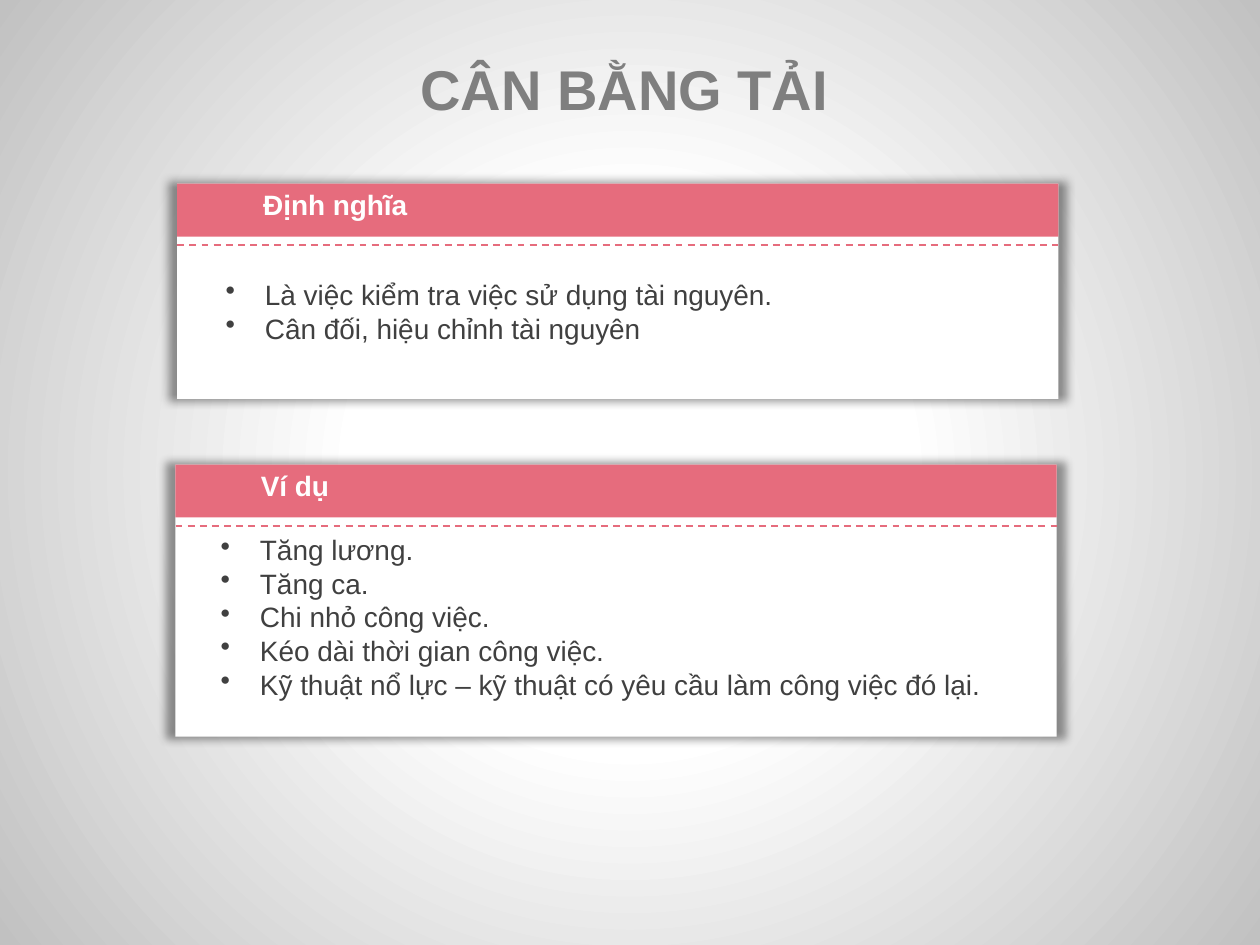
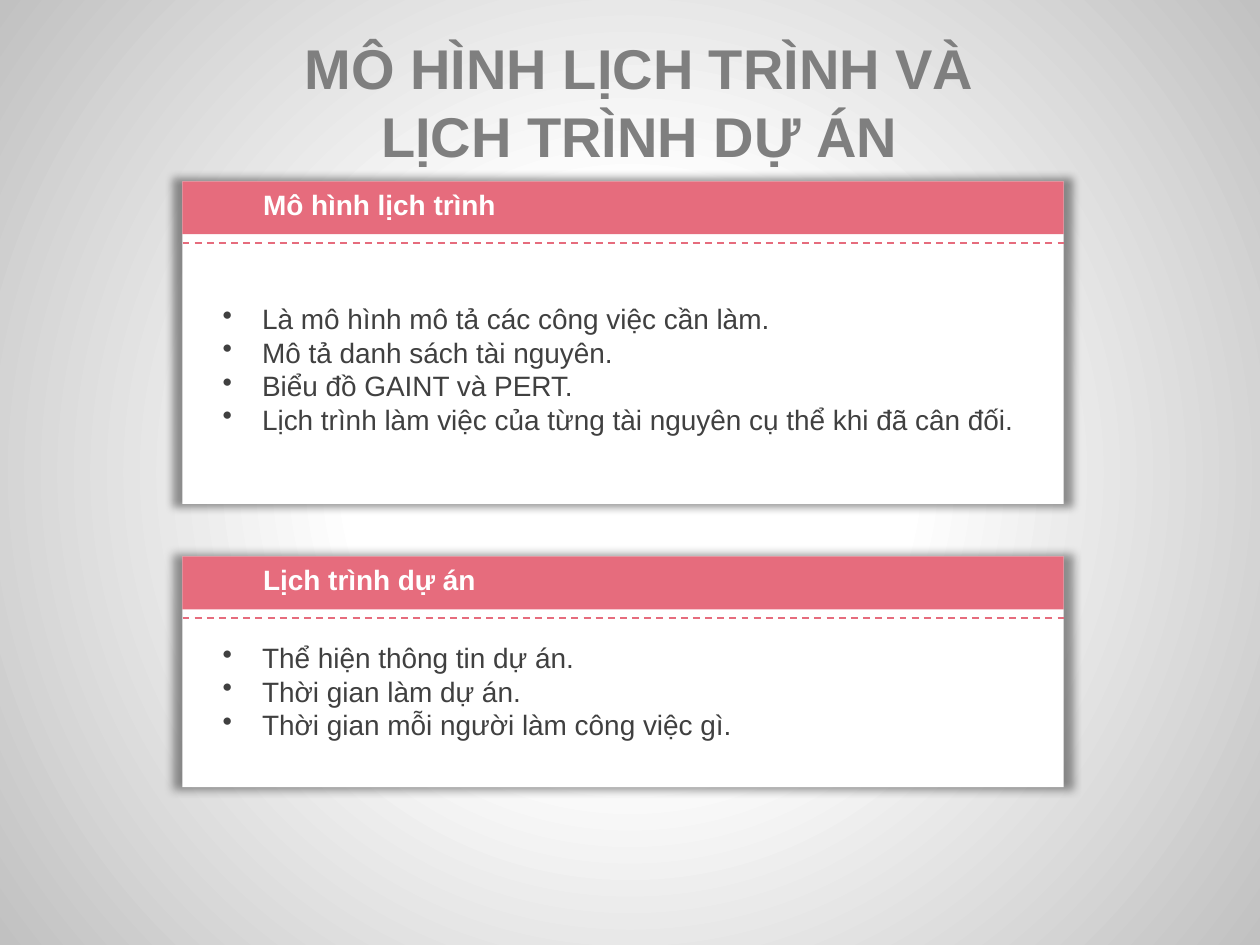
from lxml import etree
from pptx import Presentation
from pptx.dml.color import RGBColor
from pptx.enum.dml import MSO_LINE_DASH_STYLE as Dash
from pptx.enum.shapes import MSO_CONNECTOR as Connector, MSO_SHAPE as Shape
from pptx.enum.text import MSO_ANCHOR as Anchor, MSO_AUTO_SIZE as AutoSize, PP_ALIGN as Align
from pptx.oxml import parse_xml
from pptx.oxml.ns import nsdecls, qn
from pptx.util import Pt

SLIDES = [
    {
        "title": "CÂN BẰNG TẢI",
        "title_box": (98, 27.5, 517.5, 46),
        "cards": [
            {
                "label": "Định nghĩa",
                "box": (101.3, 105, 123),
                "label_at": (143.3, 103.6),
                "body_at": (121.8, 154.8),
                "bullets": [
                    "Là việc kiểm tra việc sử dụng tài nguyên.",
                    "Cân đối, hiệu chỉnh tài nguyên",
                ],
            },
            {
                "label": "Ví dụ",
                "box": (100.3, 265.5, 155.5),
                "label_at": (142, 264.2),
                "body_at": (119, 300.3),
                "bullets": [
                    "Tăng lương.",
                    "Tăng ca.",
                    "Chi nhỏ công việc.",
                    "Kéo dài thời gian công việc.",
                    "Kỹ thuật nổ lực – kỹ thuật có yêu cầu làm công việc đó lại.",
                ],
            },
        ],
    },
    {
        "title": "MÔ HÌNH LỊCH TRÌNH VÀ LỊCH TRÌNH DỰ ÁN",
        "title_box": (142, 15.3, 447, 85),
        "cards": [
            {
                "label": "Mô hình lịch trình",
                "box": (104.3, 103.7, 184.3),
                "label_at": (143.3, 103.7),
                "body_at": (120.2, 168.5),
                "bullets": [
                    "Là mô hình mô tả các công việc cần làm.",
                    "Mô tả danh sách tài nguyên.",
                    "Biểu đồ GAINT và PERT.",
                    "Lịch trình làm việc của từng tài nguyên cụ thể khi đã cân đối.",
                ],
            },
            {
                "label": "Lịch trình dự án",
                "box": (104.3, 318, 131.8),
                "label_at": (143.3, 318),
                "body_at": (120.2, 362.2),
                "bullets": [
                    "Thể hiện thông tin dự án.",
                    "Thời gian làm dự án.",
                    "Thời gian mỗi người làm công việc gì.",
                ],
            },
        ],
    },
]

FONT = "Arial"
WHITE = RGBColor(0xFF, 0xFF, 0xFF)
PINK = RGBColor(0xE6, 0x6C, 0x7D)
TITLE_GRAY = RGBColor(0x7F, 0x7F, 0x7F)
TEXT_GRAY = RGBColor(0x40, 0x40, 0x40)
EDGE_GRAY = RGBColor(0xC1, 0xC1, 0xC1)

CARD_W, BAND_H, DASH_Y = 503.5, 30.2, 35
LABEL_W, BODY_W = 438.5, 474
LINE_H, PADDING, INDENT = 19.4, 7.2, 22.5

GRADIENT = f"""<a:gradFill {nsdecls('a')} rotWithShape="1"><a:gsLst>
<a:gs pos="35000"><a:srgbClr val="{WHITE}"/></a:gs>
<a:gs pos="100000"><a:srgbClr val="{EDGE_GRAY}"/></a:gs></a:gsLst>
<a:path path="circle"><a:fillToRect l="50000" t="50000" r="50000" b="50000"/></a:path>
</a:gradFill>"""
GLOW = f"""<a:effectLst {nsdecls('a')}>
<a:outerShdw blurRad="63500" sx="102000" sy="102000" algn="ctr" rotWithShape="0">
<a:srgbClr val="000000"><a:alpha val="40000"/></a:srgbClr></a:outerShdw></a:effectLst>"""


def set_background(master):
    master.background.fill.solid()
    bg = master.element.find(".//" + qn("p:bgPr"))
    bg.replace(bg[0], parse_xml(GRADIENT))


def write(s, lines, size, color, bold=False, align=Align.LEFT, bullet=False):
    tf = s.text_frame
    tf.word_wrap = True
    tf.auto_size = AutoSize.SHAPE_TO_FIT_TEXT
    tf.vertical_anchor = Anchor.MIDDLE
    tf.text = "\n".join(lines)
    for p in tf.paragraphs:
        p.alignment = align
        p.font.name, p.font.size, p.font.bold = FONT, Pt(size), bold
        p.font.color.rgb = color
        if bullet:
            pr = p._p.get_or_add_pPr()
            pr.set("marL", str(Pt(INDENT)))
            pr.set("indent", str(-Pt(INDENT)))
            mark = etree.Element(qn("a:buChar"), char="•")
            pr.find(qn("a:defRPr")).addprevious(mark)


def add_rect(shapes, left, top, width, height, color):
    s = shapes.add_shape(Shape.RECTANGLE, Pt(left), Pt(top), Pt(width), Pt(height))
    s.shadow.inherit = False
    s.fill.solid()
    s.fill.fore_color.rgb = color
    s.line.fill.background()
    return s


def add_text(shapes, at, width, lines, color, **style):
    left, top = at
    height = len(lines) * LINE_H + PADDING
    s = shapes.add_textbox(Pt(left), Pt(top), Pt(width), Pt(height))
    write(s, lines, 16, color, **style)


def add_card(shapes, card):
    left, top, height = card["box"]
    group = shapes.add_group_shape().shapes
    panel = add_rect(group, left, top, CARD_W, height, WHITE)
    sp_pr = panel._element.spPr
    sp_pr.replace(sp_pr.find(qn("a:effectLst")), parse_xml(GLOW))
    add_rect(group, left, top, CARD_W, BAND_H, PINK)
    y = Pt(top + DASH_Y)
    rule = group.add_connector(Connector.STRAIGHT, Pt(left), y, Pt(left + CARD_W), y)
    rule.line.color.rgb = PINK
    rule.line.width = Pt(1)
    rule.line.dash_style = Dash.DASH
    etree.SubElement(rule._element.spPr, qn("a:effectLst"))
    add_text(shapes, card["body_at"], BODY_W, card["bullets"], TEXT_GRAY, bullet=True)
    add_text(shapes, card["label_at"], LABEL_W, [card["label"]], WHITE, bold=True)


def main():
    prs = Presentation()
    prs.slide_width, prs.slide_height = Pt(720), Pt(540)
    set_background(prs.slide_master)
    for content in SLIDES:
        slide = prs.slides.add_slide(prs.slide_layouts[5])
        title = slide.shapes.title
        title.left, title.top, title.width, title.height = map(Pt, content["title_box"])
        write(title, [content["title"]], 32, TITLE_GRAY, bold=True, align=Align.CENTER)
        for card in content["cards"]:
            add_card(slide.shapes, card)
    prs.save("out.pptx")


if __name__ == "__main__":
    main()
